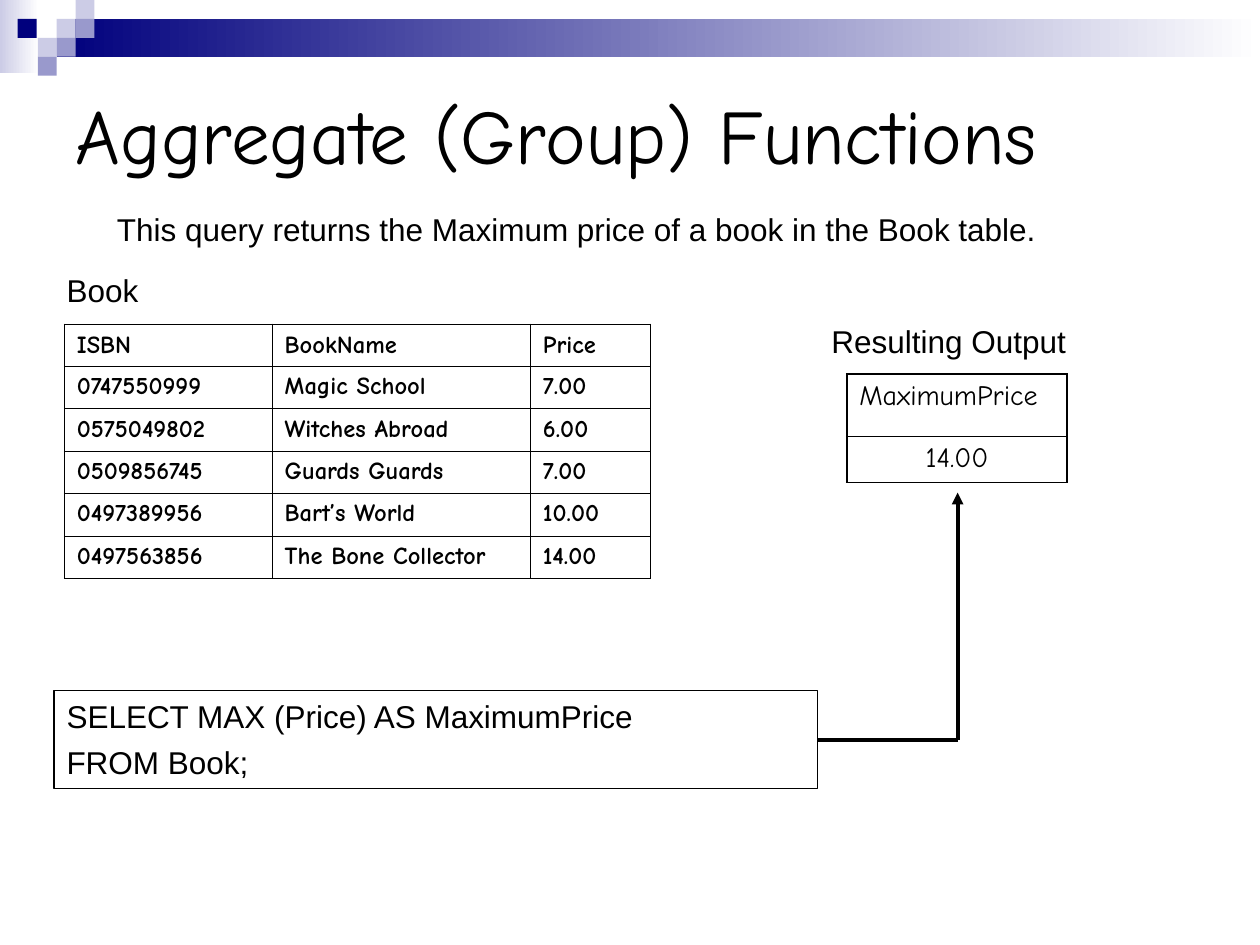
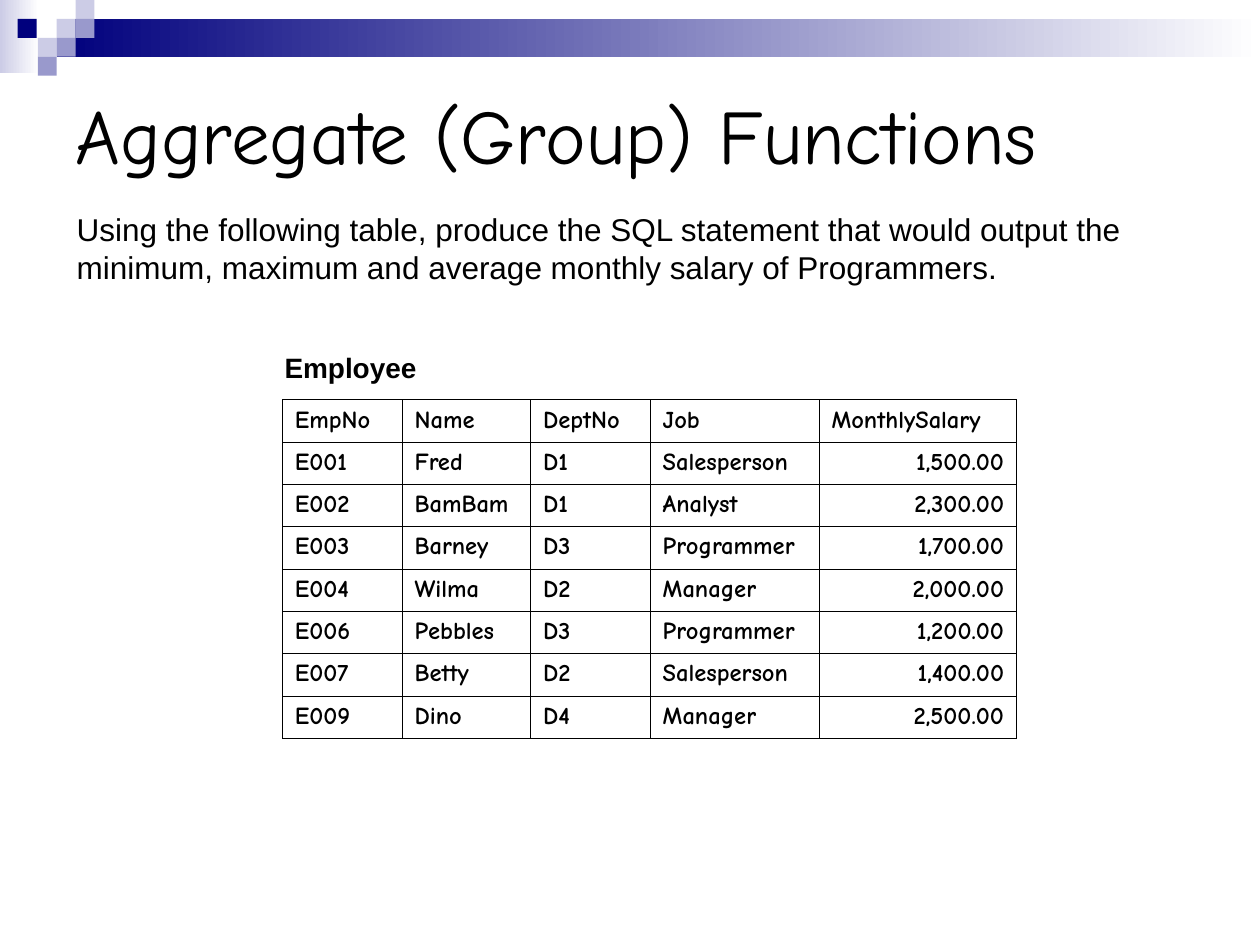
"""Build two slides on SQL aggregate functions."""
from lxml.etree import SubElement
from pptx import Presentation
from pptx.dml.color import RGBColor
from pptx.enum.shapes import MSO_CONNECTOR, MSO_SHAPE
from pptx.enum.text import MSO_ANCHOR, PP_ALIGN
from pptx.oxml.ns import qn
from pptx.util import Inches, Pt

NAVY, LILAC, MID, WHITE, BLACK = "00007D", "CCCCE6", "9999CC", "FFFFFF", "000000"
SANS, COMIC = "Arial", "Comic Neue"
LEFT, MIDDLE, RIGHT = PP_ALIGN.LEFT, PP_ALIGN.CENTER, PP_ALIGN.RIGHT
TITLE = "Aggregate (Group) Functions"

BANDS = [((0, 0, 0.31, 0.58), LILAC), ((0.45, 0.15, 9.55, 0.3), NAVY)]
TILE = 0.15
TILES = [(0.45, 0.15, LILAC), (0.6, 0, LILAC), (0.6, 0.15, MID),
         (0.3, 0.3, LILAC), (0.14, 0.15, NAVY), (0.45, 0.3, MID),
         (0.3, 0.45, MID)]

SQL = ["SELECT MAX (Price) AS MaximumPrice", "FROM Book;"]
BOOKS = [
    ("ISBN", "BookName", "Price"),
    ("0747550999", "Magic School", "7.00"),
    ("0575049802", "Witches Abroad", "6.00"),
    ("0509856745", "Guards Guards", "7.00"),
    ("0497389956", "Bart’s World", "10.00"),
    ("0497563856", "The Bone Collector", "14.00"),
]
RESULT = [("MaximumPrice",), ("14.00",)]
STAFF = [
    ("EmpNo", "Name", "DeptNo", "Job", "MonthlySalary"),
    ("E001", "Fred", "D1", "Salesperson", "1,500.00"),
    ("E002", "BamBam", "D1", "Analyst", "2,300.00"),
    ("E003", "Barney", "D3", "Programmer", "1,700.00"),
    ("E004", "Wilma", "D2", "Manager", "2,000.00"),
    ("E006", "Pebbles", "D3", "Programmer", "1,200.00"),
    ("E007", "Betty", "D2", "Salesperson", "1,400.00"),
    ("E009", "Dino", "D4", "Manager", "2,500.00"),
]
QUERY = "This query returns the Maximum price of a book in the Book table."
TASK = ("Using the following table, produce the SQL statement that would output "
        "the minimum, maximum and average monthly salary of Programmers.")


def tint(code):
    return RGBColor.from_string(code)


def place(box):
    return [Inches(n) for n in box]


def write(frame, lines, size, font=SANS, bold=False, align=LEFT, gap=0):
    for i, line in enumerate(lines):
        para = frame.add_paragraph() if i else frame.paragraphs[0]
        para.alignment = align
        if i:
            para.space_before = Pt(gap)
        run = para.add_run()
        run.text = line
        run.font.size, run.font.name, run.font.bold = Pt(size), font, bold
        run.font.color.rgb = tint(BLACK)


def label(slide, box, text, size=18, bold=False):
    frame = slide.shapes.add_textbox(*place(box)).text_frame
    frame.word_wrap = True
    write(frame, [text], size, bold=bold)


def block(slide, box):
    shape = slide.shapes.add_shape(MSO_SHAPE.RECTANGLE, *place(box))
    shape.shadow.inherit = False
    return shape


def band(slide, layout):
    parts = []
    for box, code in BANDS:
        shape = block(slide, box)
        shape.fill.gradient()
        shape.fill.gradient_angle = 0
        for stop, shade in zip(shape.fill.gradient_stops, (code, WHITE)):
            stop.color.rgb = tint(shade)
        parts.append(shape)
    for x, y, code in TILES:
        shape = block(slide, (x, y, TILE, TILE))
        shape.fill.solid()
        shape.fill.fore_color.rgb = tint(code)
        parts.append(shape)
    for i, shape in enumerate(parts):
        shape.line.fill.background()
        layout.shapes.element.insert(2 + i, shape.element)


def edge(cell, side, width):
    line = SubElement(cell._tc.get_or_add_tcPr(), qn("a:ln" + side), w=str(Pt(width)))
    fill = SubElement(line, qn("a:solidFill"))
    SubElement(fill, qn("a:srgbClr"), val=BLACK)


def grid(slide, spot, data, cols, rows, size=14, bold=True, last=LEFT,
         head=MSO_ANCHOR.MIDDLE, rim=0.34, rule=0.34):
    box = place((*spot, sum(cols), sum(rows)))
    table = slide.shapes.add_table(len(rows), len(cols), *box).table
    table.first_row = table.horz_banding = False
    for col, width in zip(table.columns, cols):
        col.width = Inches(width)
    for row, height in zip(table.rows, rows):
        row.height = Inches(height)
    for r, line in enumerate(data):
        for c, text in enumerate(line):
            cell = table.cell(r, c)
            ends = {"L": c == 0, "R": c == len(cols) - 1,
                    "T": r == 0, "B": r == len(rows) - 1}
            for side, outer in ends.items():
                edge(cell, side, rim if outer else rule)
            cell.fill.background()
            cell.vertical_anchor = MSO_ANCHOR.TOP if r else head
            align = last if r and ends["R"] else LEFT
            write(cell.text_frame, [text], size, COMIC, bold, align)


def link(slide, start, end):
    line = slide.shapes.add_connector(MSO_CONNECTOR.STRAIGHT, *start, *end)
    line.line.color.rgb = tint(BLACK)
    line.line.width = Pt(2.25)
    SubElement(line._element.spPr, qn("a:effectLst"))
    return line


def start(deck, layout):
    slide = deck.slides.add_slide(layout)
    title = slide.shapes.title
    title.left, title.top, title.width, title.height = place((0.5, 0.5, 9, 1.12))
    title.text_frame.vertical_anchor = MSO_ANCHOR.MIDDLE
    write(title.text_frame, [TITLE], 44, COMIC)
    return slide


def query(slide):
    label(slide, (0.83, 1.62, 8.03, 0.4), QUERY)
    code = block(slide, (0.43, 5.48, 6.06, 0.78))
    code.fill.background()
    code.line.color.rgb = tint(BLACK)
    code.line.width = Pt(0.75)
    code.text_frame.word_wrap = True
    code.text_frame.vertical_anchor = MSO_ANCHOR.TOP
    write(code.text_frame, SQL, 18, gap=5)

    turn = (Inches(7.6), code.top + code.height // 2)
    link(slide, (code.left + code.width, turn[1]), turn).begin_connect(code, 3)
    arrow = link(slide, turn, (turn[0], Inches(3.91)))
    SubElement(arrow.line._get_or_add_ln(), qn("a:tailEnd"), type="triangle")

    label(slide, (0.43, 2.1, 2.91, 0.4), "Book")
    label(slide, (6.5, 2.51, 2.91, 0.4), "Resulting Output")
    grid(slide, (6.72, 2.97), RESULT, [1.75], [0.49, 0.37], 16, False, MIDDLE,
         MSO_ANCHOR.TOP, 1.08, 0.45)
    grid(slide, (0.51, 2.57), BOOKS, [1.65, 2.05, 0.95], [2.02 / 6] * 6)


def task(slide):
    label(slide, (0.51, 1.62, 8.98, 0.7), TASK)
    label(slide, (2.16, 2.73, 1.42, 0.37), "Employee", 16, True)
    grid(slide, (2.24, 3.17), STAFF, [0.95, 1.02, 0.95, 1.34, 1.57],
         [2.69 / 8] * 8, last=RIGHT)


def main():
    deck = Presentation()
    deck.slide_width, deck.slide_height = Inches(10), Inches(7.5)
    layout = deck.slide_layouts[5]
    first = start(deck, layout)
    band(first, layout)
    query(first)
    task(start(deck, layout))
    deck.save("out.pptx")


if __name__ == "__main__":
    main()
